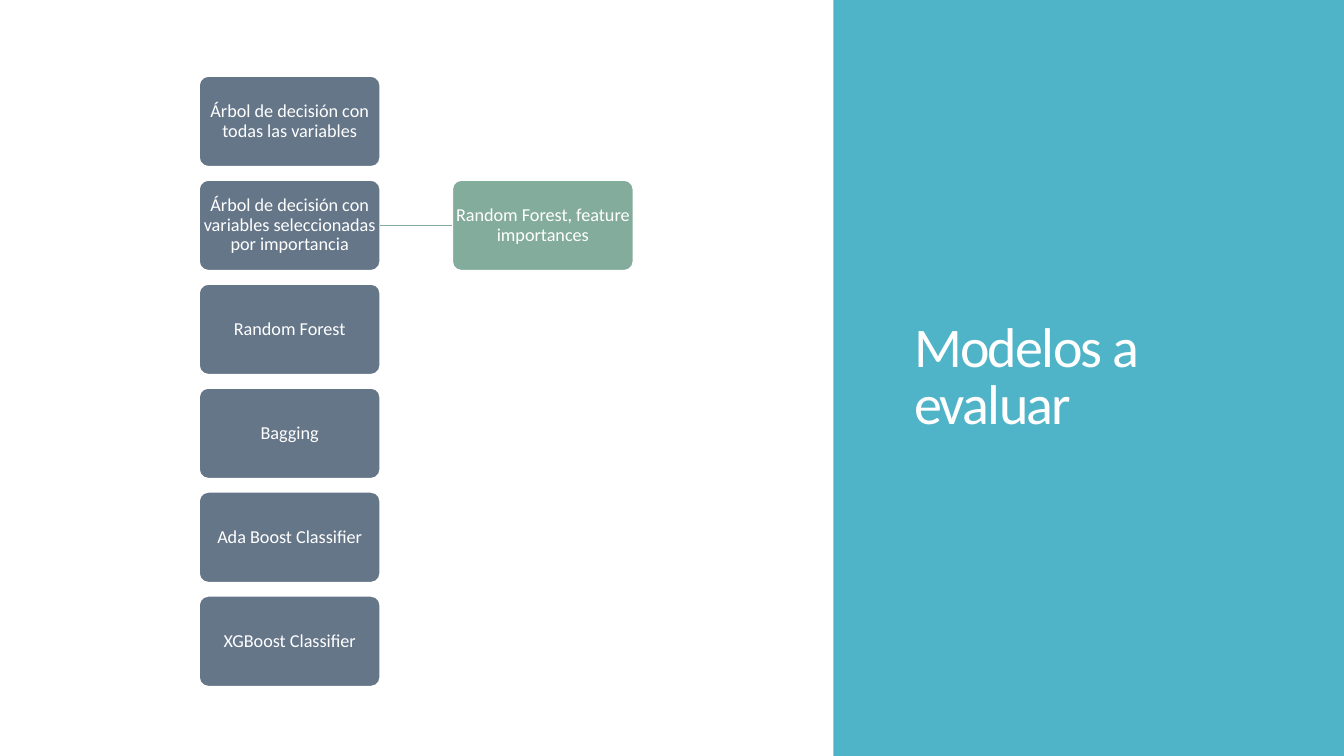
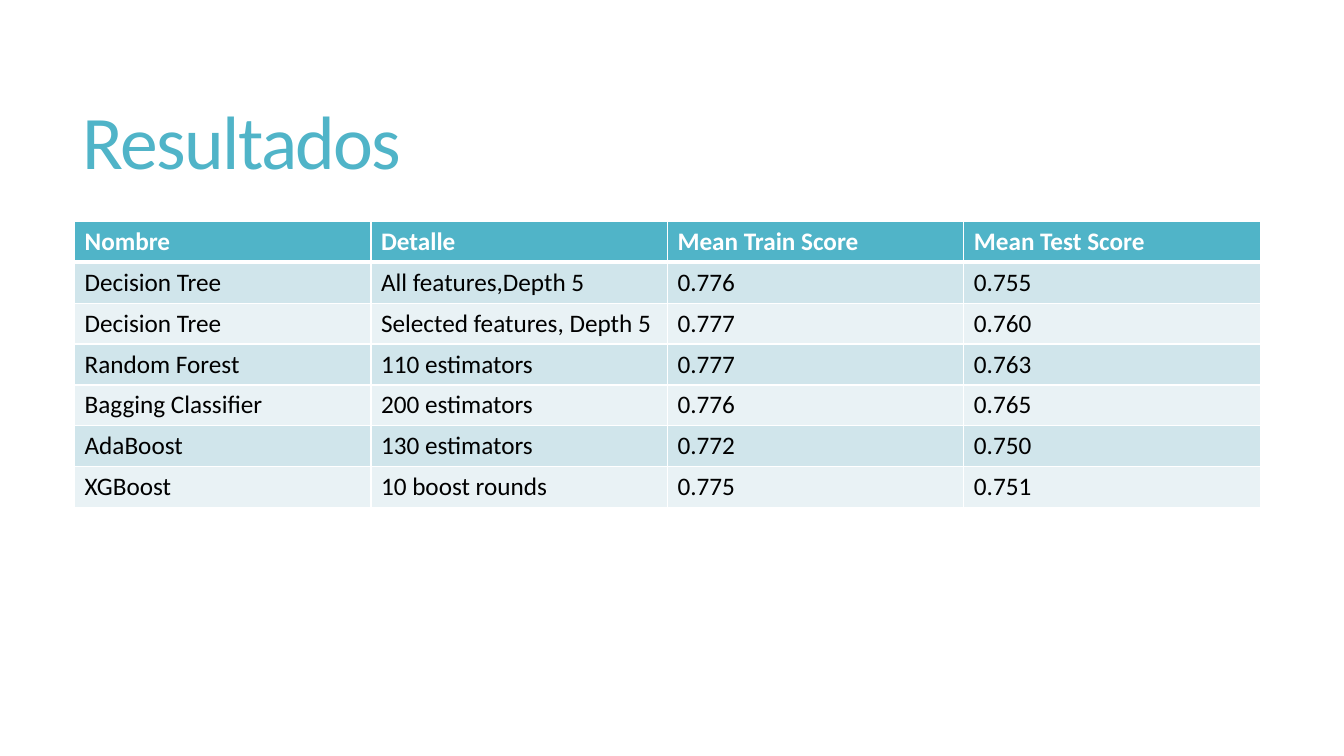
"""Build two slides: the models to evaluate and their results."""
from dataclasses import dataclass

from lxml.etree import SubElement
from pptx import Presentation
from pptx.dml.color import RGBColor
from pptx.enum.shapes import MSO_CONNECTOR, MSO_SHAPE
from pptx.enum.text import MSO_ANCHOR, MSO_AUTO_SIZE, PP_ALIGN
from pptx.oxml.ns import qn
from pptx.util import Cm, Pt


@dataclass(frozen=True)
class Theme:
    font: str = "Calibri"
    accent: str = "50B4C8"
    slate: str = "657689"
    green: str = "84AC9D"
    white: str = "FFFFFF"
    black: str = "000000"
    bands: tuple[str, str] = ("D0E5EB", "E9F2F5")
    side_title: float = 40
    top_title: float = 54
    box: float = 13
    table: float = 18
    thin: float = 1
    thick: float = 3


@dataclass(frozen=True)
class Area:
    left: float
    top: float
    width: float
    height: float

    def lengths(self) -> tuple[Cm, ...]:
        return tuple(Cm(v) for v in (self.left, self.top, self.width, self.height))


@dataclass(frozen=True)
class Model:
    name: str
    method: str = ""


THEME = Theme()
WIDTH, HEIGHT = 33.87, 19.05
PANEL = Area(21, 0, WIDTH - 21, HEIGHT)
FIRST_BOX = Area(5.02, 1.92, 4.56, 2.28)
ROW_STEP, COLUMN_STEP = 2.62, 6.38
TABLE = Area(1.88, 5.58, 29.88, 7.21)
MODELS = (
    Model("Árbol de decisión con todas las variables"),
    Model("Árbol de decisión con variables seleccionadas por importancia",
          "Random Forest, feature importances"),
    Model("Random Forest"),
    Model("Bagging"),
    Model("Ada Boost Classifier"),
    Model("XGBoost Classifier"),
)
RESULTS = (
    ("Nombre", "Detalle", "Mean Train Score", "Mean Test Score"),
    ("Decision Tree", "All features,Depth 5", "0.776", "0.755"),
    ("Decision Tree", "Selected features, Depth 5", "0.777", "0.760"),
    ("Random Forest", "110 estimators", "0.777", "0.763"),
    ("Bagging Classifier", "200 estimators", "0.776", "0.765"),
    ("AdaBoost", "130 estimators", "0.772", "0.750"),
    ("XGBoost", "10 boost rounds", "0.775", "0.751"),
)


def rgb(color: str) -> RGBColor:
    return RGBColor.from_string(color)


def apply(target, values: dict) -> None:
    for name, value in values.items():
        setattr(target, name, value)


def write(tf, text: str, size: float, color: str, bold: bool = False,
          align=PP_ALIGN.LEFT, spacing: float = 1.0):
    p = tf.paragraphs[0]
    apply(p, {"alignment": align, "line_spacing": spacing})
    r = p.add_run()
    r.text = text
    apply(r.font, {"name": THEME.font, "size": Pt(size), "bold": bold})
    r.font.color.rgb = rgb(color)
    return r


def add_shape(s, kind, area: Area, color: str):
    sp = s.shapes.add_shape(kind, *area.lengths())
    sp.shadow.inherit = False
    sp.fill.solid()
    sp.fill.fore_color.rgb = rgb(color)
    sp.line.fill.background()
    return sp


def add_titled_slide(prs, text: str, area: Area, size: float, color: str):
    s = prs.slides.add_slide(prs.slide_layouts[5])
    title = s.shapes.title
    apply(title, dict(zip(("left", "top", "width", "height"), area.lengths())))
    apply(title.text_frame, {"word_wrap": True, "auto_size": MSO_AUTO_SIZE.NONE,
                             "vertical_anchor": MSO_ANCHOR.MIDDLE})
    r = write(title.text_frame, text, size, color, spacing=0.85)
    r.font._element.set("spc", "-120")
    return s


def add_box(s, text: str, row: int, column: int, color: str):
    area = Area(FIRST_BOX.left + column * COLUMN_STEP, FIRST_BOX.top + row * ROW_STEP,
                FIRST_BOX.width, FIRST_BOX.height)
    sp = add_shape(s, MSO_SHAPE.ROUNDED_RECTANGLE, area, color)
    sp.adjustments[0] = 0.1
    sp.line.color.rgb = rgb(THEME.white)
    sp.line.width = Pt(THEME.thin)
    tf = sp.text_frame
    apply(tf, {"word_wrap": True, "vertical_anchor": MSO_ANCHOR.MIDDLE})
    apply(tf, {f"margin_{side}": Cm(0.02) for side in ("left", "top", "right", "bottom")})
    write(tf, text, THEME.box, THEME.white, align=PP_ALIGN.CENTER, spacing=0.9)
    return sp


def join(s, start, end) -> None:
    line = s.shapes.add_connector(MSO_CONNECTOR.STRAIGHT, 0, 0, 0, 0)
    line.begin_connect(start, 3)
    line.end_connect(end, 1)
    line.line.color.rgb = rgb(THEME.green)
    line.line.width = Pt(THEME.thin)
    SubElement(line.element.spPr, qn("a:effectLst"))


def set_borders(cell, top: float, bottom: float) -> None:
    widths = {"L": THEME.thin, "R": THEME.thin, "T": top, "B": bottom}
    tc_pr = cell._tc.get_or_add_tcPr()
    for side, width in widths.items():
        ln = SubElement(tc_pr, qn(f"a:ln{side}"), w=str(Pt(width)))
        fill = SubElement(ln, qn("a:solidFill"))
        SubElement(fill, qn("a:srgbClr"), val=THEME.white)


def build_models(prs) -> None:
    s = add_titled_slide(prs, "Modelos a evaluar", Area(22.78, 1.78, 9.3, 15.52),
                         THEME.side_title, THEME.white)
    panel = add_shape(s, MSO_SHAPE.RECTANGLE, PANEL, THEME.accent)
    s.shapes.title.element.addprevious(panel.element)
    for row, model in enumerate(MODELS):
        box = add_box(s, model.name, row, 0, THEME.slate)
        if model.method:
            join(s, box, add_box(s, model.method, row, 1, THEME.green))


def build_results(prs) -> None:
    s = add_titled_slide(prs, "Resultados", Area(1.83, 1.4, 29.92, 4.6),
                         THEME.top_title, THEME.accent)
    table = s.shapes.add_table(len(RESULTS), len(RESULTS[0]), *TABLE.lengths()).table
    apply(table, {"first_row": False, "horz_banding": False})
    for i, values in enumerate(RESULTS):
        header = i == 0
        fill = THEME.accent if header else THEME.bands[(i - 1) % 2]
        color = THEME.white if header else THEME.black
        top = THEME.thick if i == 1 else THEME.thin
        bottom = THEME.thick if header else THEME.thin
        for j, text in enumerate(values):
            cell = table.cell(i, j)
            set_borders(cell, top, bottom)
            cell.fill.solid()
            cell.fill.fore_color.rgb = rgb(fill)
            write(cell.text_frame, text, THEME.table, color, bold=header)


def main() -> None:
    prs = Presentation()
    apply(prs, {"slide_width": Cm(WIDTH), "slide_height": Cm(HEIGHT)})
    build_models(prs)
    build_results(prs)
    prs.save("out.pptx")


if __name__ == "__main__":
    main()
